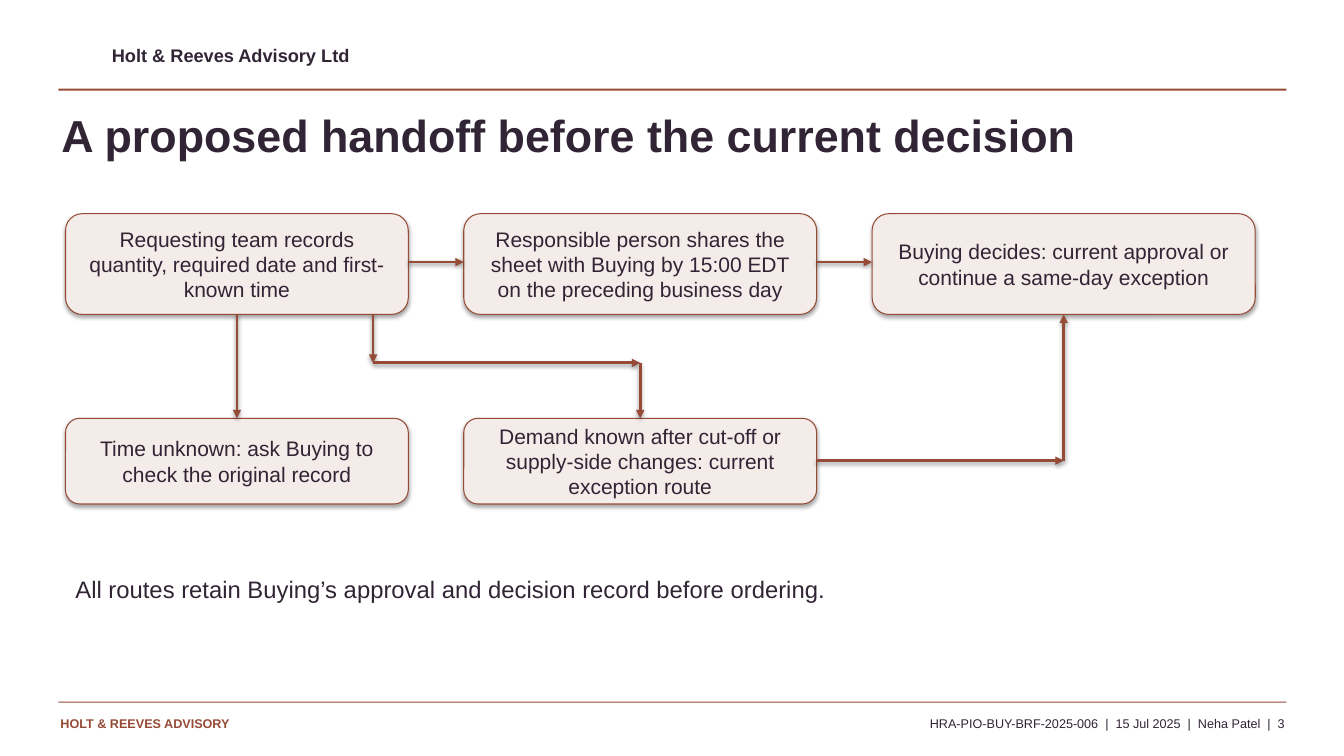
from dataclasses import dataclass
from itertools import pairwise

from pptx import Presentation
from pptx.dml.color import RGBColor
from pptx.enum.shapes import MSO_CONNECTOR, MSO_SHAPE
from pptx.enum.text import MSO_ANCHOR, PP_ALIGN
from pptx.oxml import parse_xml
from pptx.oxml.ns import nsdecls
from pptx.util import Emu, Pt

RECTANGLE = MSO_SHAPE.RECTANGLE
ROUNDED = MSO_SHAPE.ROUNDED_RECTANGLE
STRAIGHT = MSO_CONNECTOR.STRAIGHT
MIDDLE = MSO_ANCHOR.MIDDLE
LEFT, CENTER, RIGHT = PP_ALIGN.LEFT, PP_ALIGN.CENTER, PP_ALIGN.RIGHT
EMU_PER_PX = 9144
EMU_PER_PT = 12700


@dataclass(frozen=True)
class Theme:
    font: str = "Arial"
    ink: RGBColor = RGBColor(0x30, 0x24, 0x35)
    accent: RGBColor = RGBColor(0x96, 0x4B, 0x37)
    panel: RGBColor = RGBColor(0xF4, 0xEC, 0xE8)
    title_size: int = 32
    note_size: int = 17
    step_size: int = 15
    brand_size: int = 13
    footer_size: int = 9


THEME = Theme()

STEPS = [
    ((65, 212, 340, 100), "Requesting team records quantity, required date and first-known time"),
    ((460, 212, 350, 100), "Responsible person shares the sheet with Buying by 15:00 EDT on the preceding business day"),
    ((865, 212, 380, 100), "Buying decides: current approval or continue a same-day exception"),
    ((65, 415, 340, 85), "Time unknown: ask Buying to check the original record"),
    ((460, 415, 350, 85), "Demand known after cut-off or supply-side changes: current exception route"),
]

ROUTES = [
    [(405, 260), (460, 260)],
    [(810, 260), (865, 260)],
    [(235, 312), (235, 415)],
    [(370, 312), (370, 360), (635, 360), (635, 415)],
    [(810, 457), (1055, 457), (1055, 312)],
]


def px(*lengths):
    return [Emu(length * EMU_PER_PX) for length in lengths]


def write_text(frame, text, size, color=THEME.ink, bold=False, align=LEFT):
    frame.word_wrap = True
    frame.text = text
    para = frame.paragraphs[0]
    para.alignment = align
    for span in para.runs:
        span.font.name = THEME.font
        span.font.size = Pt(size)
        span.font.bold = bold
        span.font.color.rgb = color


def add_shadow(item, distance, opacity):
    item._element.spPr.append(parse_xml(
        f'<a:effectLst {nsdecls("a")}><a:outerShdw blurRad="{round(3.1 * EMU_PER_PT)}" '
        f'dist="{round(distance * EMU_PER_PT)}" dir="5400000" rotWithShape="0">'
        f'<a:srgbClr val="000000"><a:alpha val="{opacity * 1000}"/></a:srgbClr>'
        '</a:outerShdw></a:effectLst>'))


def add_label(page, place, text, size, margin=0, **style):
    box = page.shapes.add_textbox(*px(*place))
    frame = box.text_frame
    frame.margin_left, frame.margin_right = px(margin, margin)
    frame.margin_top, frame.margin_bottom = px(margin // 2, margin // 2)
    write_text(frame, text, size, **style)
    return box


def add_rule(page, place):
    rule = page.shapes.add_shape(RECTANGLE, *px(*place))
    rule.shadow.inherit = False
    rule.fill.solid()
    rule.fill.fore_color.rgb = THEME.accent
    rule.line.fill.background()


def add_step(page, place, text):
    step = page.shapes.add_shape(ROUNDED, *px(*place))
    step.fill.solid()
    step.fill.fore_color.rgb = THEME.panel
    step.line.color.rgb = THEME.accent
    step.line.width = Pt(0.75)
    add_shadow(step, 1.8, 35)
    step.text_frame.vertical_anchor = MIDDLE
    write_text(step.text_frame, text, THEME.step_size, align=CENTER)


def add_arrow(page, start, end):
    arrow = page.shapes.add_connector(STRAIGHT, *px(*start, *end))
    arrow.line.color.rgb = THEME.accent
    arrow.line.width = Pt(2)
    arrow.line._get_or_add_ln().append(
        parse_xml(f'<a:tailEnd {nsdecls("a")} type="triangle"/>'))
    add_shadow(arrow, 1.6, 38)


def add_frame(page):
    add_label(page, (111, 44, 600, 27), "Holt & Reeves Advisory Ltd",
              THEME.brand_size, bold=True)
    for top, height in ((88, 2), (696, 1)):
        add_rule(page, (58, top, 1218, height))
    add_label(page, (60, 710, 340, 25), "HOLT & REEVES ADVISORY",
              THEME.footer_size, color=THEME.accent, bold=True)
    add_label(page, (412, 710, 862, 24),
              "HRA-PIO-BUY-BRF-2025-006  |  15 Jul 2025  |  Neha Patel  |  3",
              THEME.footer_size, align=RIGHT)


def main():
    deck = Presentation()
    deck.slide_width, deck.slide_height = px(1333, 750)
    page = deck.slides.add_slide(deck.slide_layouts[6])
    add_frame(page)
    add_label(page, (61, 107, 1200, 78), "A proposed handoff before the current decision",
              THEME.title_size, bold=True)
    for place, text in STEPS:
        add_step(page, place, text)
    for route in ROUTES:
        for start, end in pairwise(route):
            add_arrow(page, start, end)
    note = add_label(page, (65, 565, 1180, 65),
                     "All routes retain Buying’s approval and decision record before ordering.",
                     THEME.note_size, margin=10)
    note.text_frame.paragraphs[0].space_after = Pt(12)
    deck.save("out.pptx")


if __name__ == "__main__":
    main()
